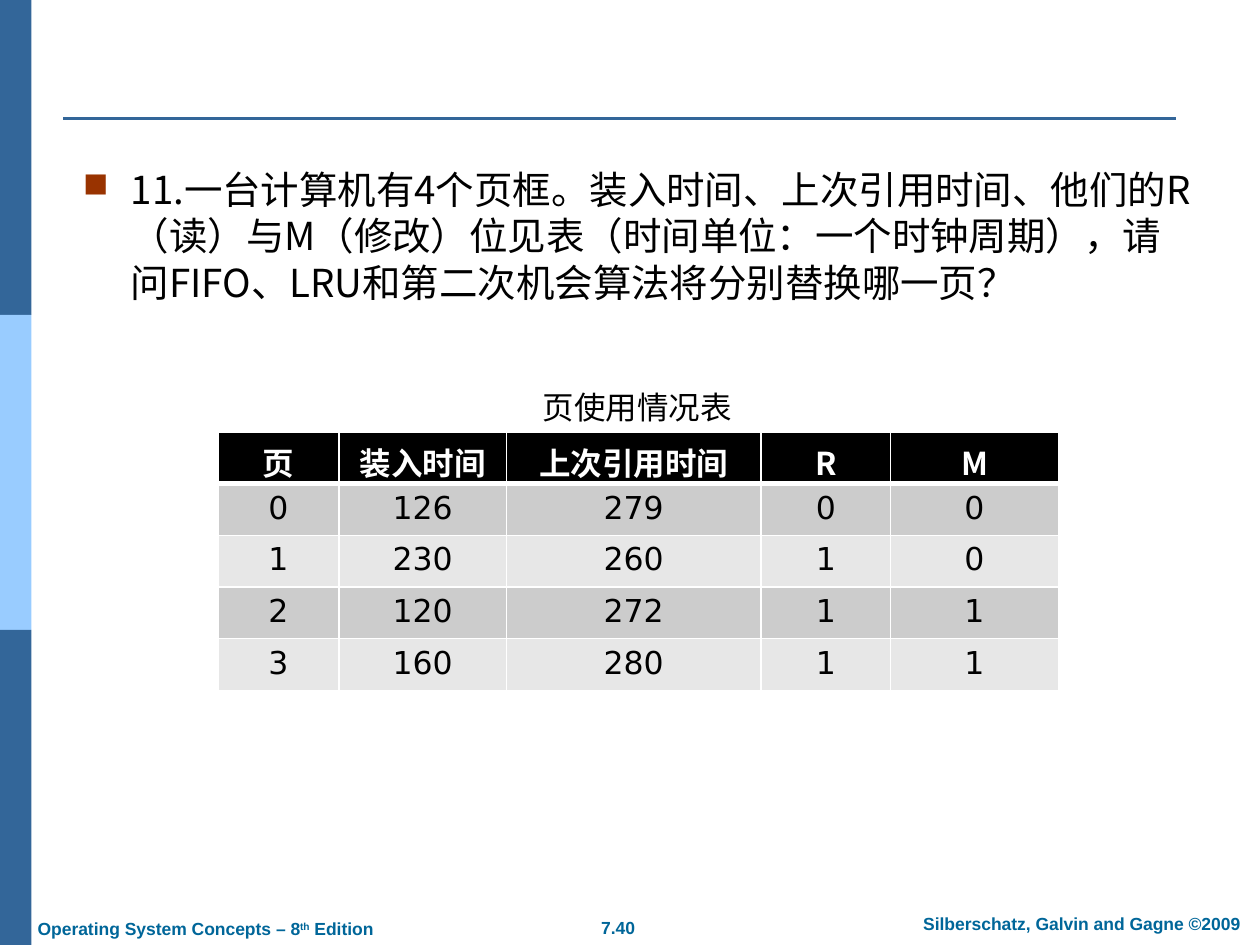
from lxml.etree import SubElement
from pptx import Presentation
from pptx.dml.color import RGBColor
from pptx.enum.shapes import MSO_CONNECTOR, MSO_SHAPE
from pptx.enum.text import MSO_ANCHOR, PP_ALIGN
from pptx.oxml.ns import qn
from pptx.util import Inches, Pt

NAVY = RGBColor(0x33, 0x66, 0x99)
SKY = RGBColor(0x99, 0xCC, 0xFF)
TEAL = RGBColor(0x00, 0x66, 0x99)
BLACK = RGBColor(0, 0, 0)
WHITE = RGBColor(0xFF, 0xFF, 0xFF)
DARK_BAND = RGBColor(0xCC, 0xCC, 0xCC)
LIGHT_BAND = RGBColor(0xE7, 0xE7, 0xE7)
CJK, DIGITS, FOOTER = "Noto Sans CJK SC", "DejaVu Sans", "Arial"

# Content
QUESTION = ("11.一台计算机有4个页框。装入时间、上次引用时间、他们的R（读）与M（修改）位见表"
            "（时间单位：一个时钟周期），请问FIFO、LRU和第二次机会算法将分别替换哪一页？")
CAPTION = "页使用情况表"
TABLE = [
    ["页", "装入时间", "上次引用时间", "R", "M"],
    ["0", "126", "279", "0", "0"],
    ["1", "230", "260", "1", "0"],
    ["2", "120", "272", "1", "1"],
    ["3", "160", "280", "1", "1"],
]
COLUMN_WIDTHS = [0.96, 1.33, 2.02, 1.03, 1.33]
ROW_HEIGHT = 0.41
SIDE_BANDS = [NAVY, SKY, NAVY]
# Runs, box, alignment, wrap
FOOTERS = [
    (["7.40"], (4.66, 7.23, 0.49, 0.27), PP_ALIGN.CENTER, False),
    (["Silberschatz, Galvin and Gagne ©2009"], (7.1, 7.2, 2.97, 0.27), PP_ALIGN.CENTER, True),
    (["Operating System Concepts – 8", "th", " Edition"], (0.2, 7.24, 2.88, 0.27),
     PP_ALIGN.LEFT, False),
]


def style_run(run, size, font, color, bold=False):
    run.font.size = Pt(size)
    run.font.name = font
    run.font.bold = bold
    run.font.color.rgb = color
    SubElement(run._r.get_or_add_rPr(), qn("a:ea"), typeface=font)


def add_text(slide, box, runs, size, font, color, bold=False, align=PP_ALIGN.LEFT, wrap=True):
    text_frame = slide.shapes.add_textbox(*map(Inches, box)).text_frame
    text_frame.word_wrap = wrap
    paragraph = text_frame.paragraphs[0]
    paragraph.alignment = align
    for text in runs:
        run = paragraph.add_run()
        run.text = text
        style_run(run, size, font, color, bold)
    return paragraph


def set_borders(cell, bottom, top):
    properties = cell._tc.get_or_add_tcPr()
    for position, (tag, width) in enumerate(
            [("a:lnL", 1), ("a:lnR", 1), ("a:lnT", top), ("a:lnB", bottom)]):
        line = properties.makeelement(qn(tag), {"w": str(Pt(width))})
        fill = SubElement(line, qn("a:solidFill"))
        SubElement(fill, qn("a:srgbClr"), val=str(WHITE))
        properties.insert(position, line)


presentation = Presentation()
presentation.slide_width, presentation.slide_height = Inches(10), Inches(7.5)
slide = presentation.slides.add_slide(presentation.slide_layouts[6])

# Side bands
for index, color in enumerate(SIDE_BANDS):
    band = slide.shapes.add_shape(
        MSO_SHAPE.RECTANGLE, 0, Inches(2.5 * index), Inches(0.25), Inches(2.5))
    band.shadow.inherit = False
    band.fill.solid()
    band.fill.fore_color.rgb = color
    band.line.fill.background()

# Title rule
rule = slide.shapes.add_connector(
    MSO_CONNECTOR.STRAIGHT, Inches(0.5), Inches(0.94), Inches(9.33), Inches(0.94))
rule.line.color.rgb = NAVY
rule.line.width = Pt(1.5)
SubElement(rule._element.spPr, qn("a:effectLst"))

# Footers, with the ordinal raised
for runs, box, align, wrap in FOOTERS:
    paragraph = add_text(slide, box, runs, 10, FOOTER, TEAL, True, align, wrap)
    for run in paragraph.runs:
        if run.text == "th":
            run._r.get_or_add_rPr().set("baseline", "30000")

# Question with a square bullet
question = add_text(slide, (0.56, 1.27, 9, 4.95), [QUESTION], 22, CJK, BLACK)
properties = question._p.get_or_add_pPr()
properties.set("marL", str(Inches(0.38)))
properties.set("indent", str(Inches(-0.38)))
bullet_color = SubElement(properties, qn("a:buClr"))
SubElement(bullet_color, qn("a:srgbClr"), val="993300")
SubElement(properties, qn("a:buSzPct"), val="90000")
SubElement(properties, qn("a:buChar"), char="■")

# Page table
table = slide.shapes.add_table(
    len(TABLE), len(COLUMN_WIDTHS), Inches(1.73), Inches(3.43),
    Inches(sum(COLUMN_WIDTHS)), Inches(ROW_HEIGHT * len(TABLE))).table
for column, width in zip(table.columns, COLUMN_WIDTHS):
    column.width = Inches(width)
for row_index, values in enumerate(TABLE):
    table.rows[row_index].height = Inches(ROW_HEIGHT)
    header = row_index == 0
    band_color = DARK_BAND if row_index % 2 else LIGHT_BAND
    for column_index, value in enumerate(values):
        cell = table.cell(row_index, column_index)
        cell.text_frame.text = value
        cell.vertical_anchor = MSO_ANCHOR.TOP
        cell.fill.solid()
        cell.fill.fore_color.rgb = BLACK if header else band_color
        set_borders(cell, bottom=3 if header else 1, top=3 if row_index == 1 else 1)
        paragraph = cell.text_frame.paragraphs[0]
        paragraph.alignment = PP_ALIGN.CENTER
        style_run(paragraph.runs[0], 18, CJK if header else DIGITS,
                  WHITE if header else BLACK, header)

# Table caption
add_text(slide, (4.21, 3.03, 1.72, 0.4), [CAPTION], 18, CJK, BLACK, wrap=False)

presentation.save("out.pptx")
